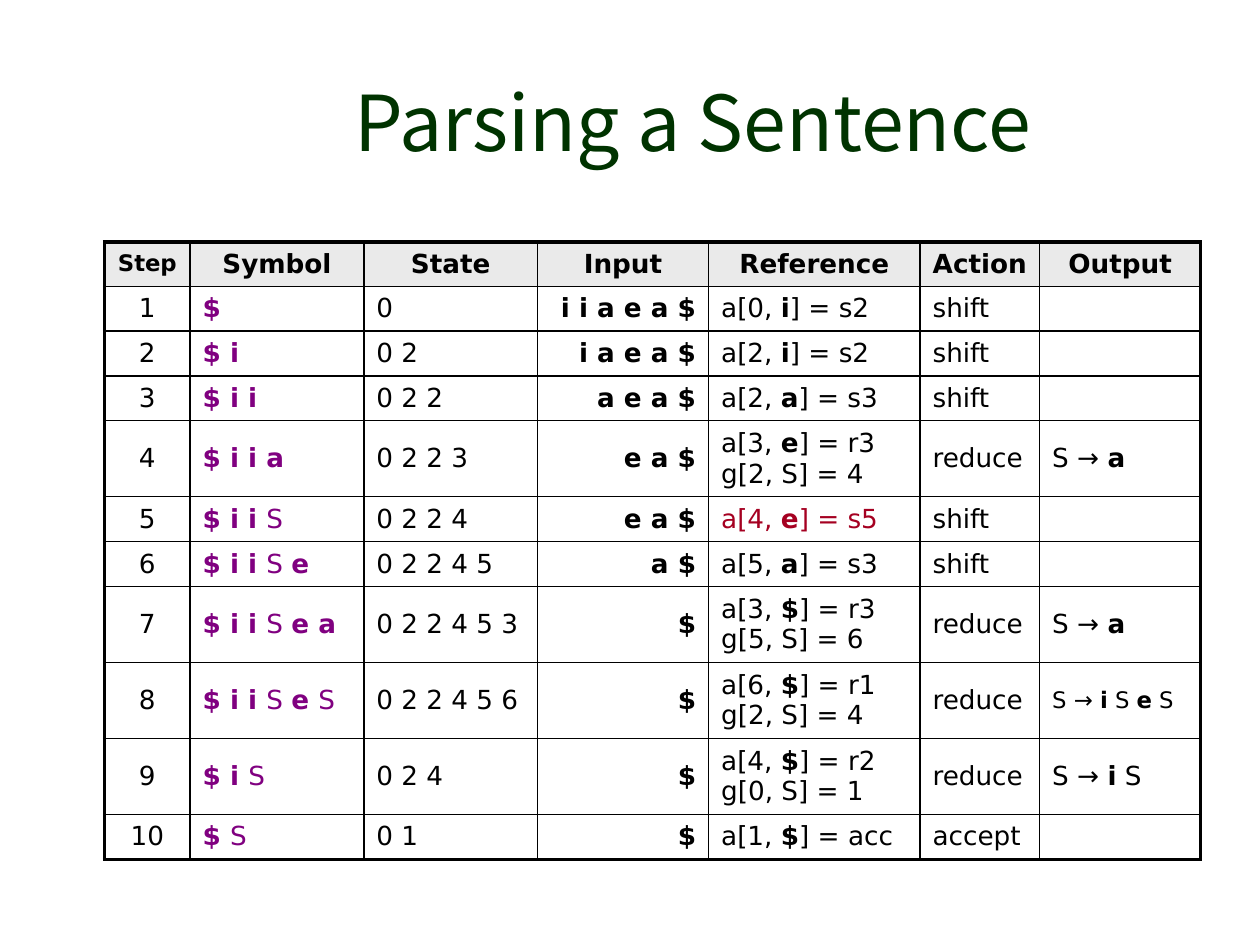
from dataclasses import dataclass

from lxml import etree
from pptx import Presentation
from pptx.dml.color import RGBColor
from pptx.enum.text import MSO_ANCHOR, PP_ALIGN
from pptx.oxml.ns import qn
from pptx.util import Inches, Pt

LEFT, CENTER, RIGHT = PP_ALIGN.LEFT, PP_ALIGN.CENTER, PP_ALIGN.RIGHT
MIDDLE = MSO_ANCHOR.MIDDLE


@dataclass(frozen=True)
class Theme:
    title_font: str = "Noto Sans CJK SC"
    body_font: str = "DejaVu Sans"
    title_color: str = "003300"
    text: str = "000000"
    symbol: str = "800080"
    highlight: str = "A50021"
    header_fill: str = "EAEAEA"
    body_fill: str = "FFFFFF"
    border: str = "000000"
    title_size: float = 44
    body_size: float = 15
    small_size: float = 13
    inner_line: float = 1
    outer_line: float = 2.25


THEME = Theme()

TABLE_LEFT, TABLE_TOP, TABLE_WIDTH, TABLE_HEIGHT = 0.83, 1.92, 8.7, 4.88
COLUMN_WIDTHS = [0.68, 1.38, 1.38, 1.36, 1.68, 0.95, 1.28]
COLUMN_ALIGNMENTS = [CENTER, LEFT, LEFT, RIGHT, LEFT, LEFT, LEFT]
SINGLE_ROW, DOUBLE_ROW = 0.35, 0.6
SYMBOL_COLUMN = 1
HIGHLIGHTED_CELL = (5, 4)
SMALL_CELLS = {(0, 0), (8, 6)}

# Asterisks switch bold on and off.
HEADERS = ["Step", "Symbol", "State", "Input", "Reference", "Action", "Output"]
PARSE_STEPS = [
    ["*$*", "0", "i i a e a $", "a[0, *i*] = s2", "shift", ""],
    ["*$ i*", "0 2", "i a e a $", "a[2, *i*] = s2", "shift", ""],
    ["*$ i i*", "0 2 2", "a e a $", "a[2, *a*] = s3", "shift", ""],
    ["*$ i i a*", "0 2 2 3", "e a $", "a[3, *e*] = r3\ng[2, S] = 4", "reduce", "S → *a*"],
    ["*$ i i *S", "0 2 2 4", "e a $", "a[4, *e*] = s5", "shift", ""],
    ["*$ i i *S *e*", "0 2 2 4 5", "a $", "a[5, *a*] = s3", "shift", ""],
    ["*$ i i *S *e a*", "0 2 2 4 5 3", "$", "a[3, *$*] = r3\ng[5, S] = 6", "reduce", "S → *a*"],
    ["*$ i i *S *e *S", "0 2 2 4 5 6", "$", "a[6, *$*] = r1\ng[2, S] = 4", "reduce", "S → *i* S *e* S"],
    ["*$ i *S", "0 2 4", "$", "a[4, *$*] = r2\ng[0, S] = 1", "reduce", "S → *i* S"],
    ["*$ *S", "0 1", "$", "a[1, *$*] = acc", "accept", ""],
]


def style_font(font, name, size, color):
    font.name = name
    font.size = Pt(size)
    font.color.rgb = RGBColor.from_string(color)


def add_title(slide, text):
    title = slide.shapes.title
    title.left, title.top = Inches(1.5), Inches(0.33)
    title.width, title.height = Inches(8), Inches(1.25)
    title.text_frame.text = text
    title.text_frame.vertical_anchor = MIDDLE
    heading = title.text_frame.paragraphs[0]
    heading.alignment = CENTER
    style_font(heading.runs[0].font, THEME.title_font, THEME.title_size, THEME.title_color)


def set_borders(cell, outer_sides):
    properties = cell._tc.get_or_add_tcPr()
    for side in "LRTB":
        width = THEME.outer_line if side in outer_sides else THEME.inner_line
        line = etree.SubElement(properties, qn(f"a:ln{side}"), w=str(Pt(width)))
        fill = etree.SubElement(line, qn("a:solidFill"))
        etree.SubElement(fill, qn("a:srgbClr"), val=THEME.border)


def write_cell(cell, marked_text, alignment, size, color):
    cell.vertical_anchor = MIDDLE
    cell.text_frame.text = marked_text.replace("*", "")
    for paragraph, marked_line in zip(cell.text_frame.paragraphs, marked_text.split("\n")):
        paragraph.alignment = alignment
        if not marked_line:
            etree.SubElement(paragraph._p, qn("a:endParaRPr"), sz=str(int(size * 100)))
            continue
        paragraph.text = ""
        for index, part in enumerate(marked_line.split("*")):
            if part:
                run = paragraph.add_run()
                run.text = part
                style_font(run.font, THEME.body_font, size, color)
                run.font.bold = index % 2 == 1


def text_color(row, column):
    if (row, column) == HIGHLIGHTED_CELL:
        return THEME.highlight
    if row > 0 and column == SYMBOL_COLUMN:
        return THEME.symbol
    return THEME.text


def scale_lengths(lengths, total):
    return [Inches(length * total / sum(lengths)) for length in lengths]


def add_parse_table(slide):
    rows = [[f"*{header}*" for header in HEADERS]]
    for number, (symbol, state, remaining, *rest) in enumerate(PARSE_STEPS, 1):
        rows.append([str(number), symbol, state, f"*{remaining}*", *rest])
    last_row, last_column = len(rows) - 1, len(HEADERS) - 1

    table = slide.shapes.add_table(
        len(rows), len(HEADERS), Inches(TABLE_LEFT), Inches(TABLE_TOP),
        Inches(TABLE_WIDTH), Inches(TABLE_HEIGHT)).table
    table.first_row = table.horz_banding = False
    for column, width in zip(table.columns, scale_lengths(COLUMN_WIDTHS, TABLE_WIDTH)):
        column.width = width
    row_heights = [DOUBLE_ROW if any("\n" in text for text in row) else SINGLE_ROW for row in rows]
    for row, height in zip(table.rows, scale_lengths(row_heights, TABLE_HEIGHT)):
        row.height = height

    for r, row in enumerate(rows):
        for c, text in enumerate(row):
            cell = table.cell(r, c)
            edges = {"L": c == 0, "R": c == last_column, "T": r == 0, "B": r == last_row}
            set_borders(cell, [side for side, is_outer in edges.items() if is_outer])
            cell.fill.solid()
            fill = THEME.header_fill if r == 0 else THEME.body_fill
            cell.fill.fore_color.rgb = RGBColor.from_string(fill)
            alignment = CENTER if r == 0 else COLUMN_ALIGNMENTS[c]
            size = THEME.small_size if (r, c) in SMALL_CELLS else THEME.body_size
            write_cell(cell, text, alignment, size, text_color(r, c))


def main():
    presentation = Presentation()
    presentation.slide_width, presentation.slide_height = Inches(10), Inches(7.5)
    slide = presentation.slides.add_slide(presentation.slide_layouts[5])
    add_title(slide, "Parsing a Sentence")
    add_parse_table(slide)
    presentation.save("out.pptx")


if __name__ == "__main__":
    main()
